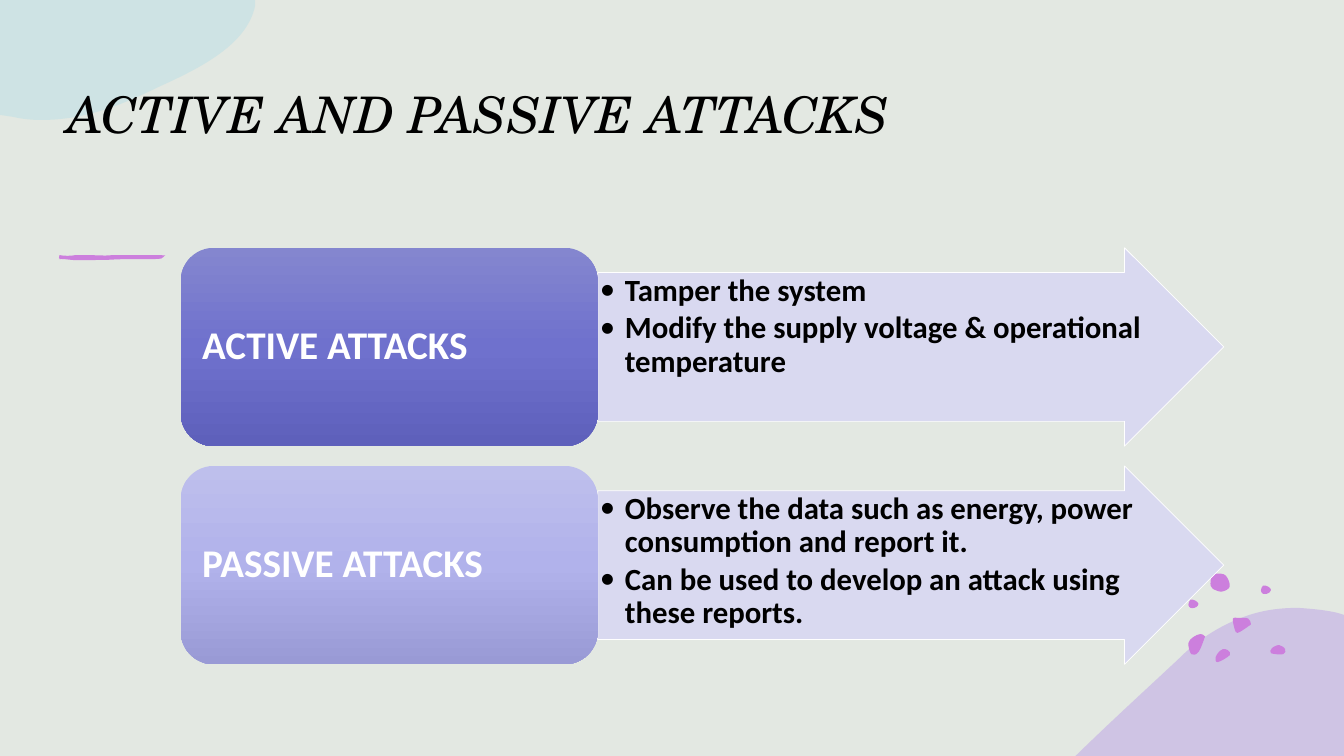
from lxml.etree import SubElement as Sub
from pptx import Presentation
from pptx.dml.color import RGBColor as RGB
from pptx.enum.shapes import MSO_SHAPE as Shape
from pptx.enum.text import MSO_ANCHOR as Anchor, PP_ALIGN as Align
from pptx.oxml.ns import qn
from pptx.util import Pt

TITLE = "ACTIVE AND PASSIVE ATTACKS"
ROWS = [
    ("ACTIVE ATTACKS", ("8486CF", "6F71CD", "5E60BB"),
     ["Tamper the system",
      "Modify the supply voltage & operational temperature"]),
    ("PASSIVE ATTACKS", ("BEBFEC", "B1B2EB", "999AD5"),
     ["Observe the data such as energy, power consumption and report it.",
      "Can be used to develop an attack using these reports."]),
]
HUES = {"back": "E3E8E2", "lilac": "BDA1E6", "teal": "BADFE6", "pink": "CC7FDD",
        "arrow": "D8D8F2", "white": "FFFFFF", "black": "000000"}

# Outlines: a start point, then lines (x, y) and curves (two handles, end).
LILAC = [(927.4, 434.2), (936.7, 434.9, 946.1, 435.6, 955.4, 437.8),
         (960, 439.2), (960, 540), (768.2, 540), (769, 539.3),
         (793.4, 515.5, 818.6, 492.5, 841.7, 470.9),
         (857.5, 455, 874.1, 445.7, 890.6, 439.9),
         (902.9, 435.6, 915.1, 434.2, 927.4, 434.2)]
TEAL = [(0, 0), (182.2, 0), (182.2, 4.3),
        (176.4, 31.7, 144, 48.2, 113.8, 61.9),
        (88.6, 74.2, 61.9, 85.7, 29.5, 85.7),
        (22.3, 85.7, 15.8, 85, 9.4, 83.5), (0, 82.1)]
STROKE = [(61.9, 185.8), (77, 185.6), (84.7, 185.2), (112.7, 185),
          (117.4, 185, 115.9, 182.9, 118, 182.4), (113, 182.2), (80, 182.2),
          (76.3, 182.9, 67.7, 182.2, 63.4, 182.2), (54, 182.2),
          (50.4, 182.9, 46.1, 182.9, 42.5, 182.2),
          (41.8, 182.9, 41.8, 185.8, 43.9, 185),
          (46.8, 185, 51.1, 185.8, 54, 185.8)]
SPECKS = [(42, 185), (43.2, 185), (117.6, 182.2)]

# Knots on the rims of the scattered dots.
PEBBLE = [(900.7, 421.9), (902.2, 418.3), (905.8, 419), (907.9, 421.2),
          (906.5, 423.4), (905, 424.1), (902.2, 424.1)]
DOTS = [
    [(873.4, 463.7), (877, 464.4), (878.4, 468), (869.8, 473),
     (868.3, 469.4), (871.2, 465.1)],
    [(857.5, 452.9), (860.4, 454.3), (860.4, 455.8), (856.1, 465.8),
     (851, 467.3), (848.9, 459.4), (852.5, 455)],
    [(913.7, 460.8), (918, 463.7), (916.6, 467.3), (907.9, 466.6), (908.6, 463)],
    [(864.7, 418.3), (865.4, 411.8), (869, 409.7), (875.5, 411.1),
     (878.4, 419), (872.6, 422.6), (866.2, 420.5)],
    PEBBLE,
    [(x - 51.8, y + 10.1) for x, y in PEBBLE],
    [(884.2, 441.4), (891.5, 441.8), (893.5, 445.7), (892.1, 447.1),
     (885.6, 451.4), (882.7, 451.4), (880.6, 443.5), (881.3, 441.4)],
]

LEFT, TOP, HIGH, PITCH = 129.1, 177, 141.7, 155.8
BOX_W, ARROW_W = 297.9, 447.1

deck = Presentation()
deck.slide_width, deck.slide_height = Pt(960), Pt(540)
slide = deck.slides.add_slide(deck.slide_layouts[6])
shapes = slide.shapes


def paint(shape, hue, alpha=100):
    shape.shadow.inherit = False
    shape.fill.solid()
    shape.fill.fore_color.rgb = RGB.from_string(HUES[hue])
    shape.line.fill.background()
    if alpha < 100:
        color = shape._element.spPr.find(qn("a:solidFill"))[0]
        Sub(color, qn("a:alpha"), val=str(alpha * 1000))


def blend(shape, stops):
    """Fill the shape from top to bottom through evenly spaced colours."""
    shape.shadow.inherit = False
    shape.line.fill.background()
    shape.fill.gradient()
    shape.fill.gradient_angle = 270
    gs_list = shape._element.spPr.find(qn("a:gradFill")).find(qn("a:gsLst"))
    for old in list(gs_list):
        gs_list.remove(old)
    for i, hue in enumerate(stops):
        pos = 100000 * i // (len(stops) - 1)
        stop = Sub(gs_list, qn("a:gs"), pos=str(pos))
        Sub(stop, qn("a:srgbClr"), val=hue)


def bend(knots):
    """Turn a ring of knots into a smooth closed outline."""
    n = len(knots)
    parts = [knots[0]]
    for i in range(n):
        (ax, ay), (bx, by), (cx, cy), (dx, dy) = (
            knots[(i + k) % n] for k in (-1, 0, 1, 2))
        parts.append((bx + (cx - ax) / 6, by + (cy - ay) / 6,
                      cx - (dx - bx) / 6, cy - (dy - by) / 6, cx, cy))
    return parts


def trace(parts, hue, alpha=100):
    """Draw an outline: lay lines through all points, then merge the curves."""
    points = [part[k:k + 2] for part in parts for k in range(0, len(part), 2)]
    grid = [(round(x * 100), round(y * 100)) for x, y in points]
    pen = shapes.build_freeform(*grid[0], scale=Pt(1) / 100)
    pen.add_line_segments(grid[1:], close=True)
    shape = pen.convert_to_shape()
    lines = iter(list(shape._element.iter(qn("a:lnTo"))))
    for part in parts[1:]:
        first = next(lines)
        if len(part) == 6:
            first.tag = qn("a:cubicBezTo")
            for _ in range(2):
                line = next(lines)
                first.append(line[0])
                line.getparent().remove(line)
    paint(shape, hue, alpha)


def write(shape, lines, size, hue, font, pads, anchor, bullet=False):
    frame = shape.text_frame
    frame.word_wrap = True
    frame.vertical_anchor = anchor
    (frame.margin_left, frame.margin_top,
     frame.margin_right, frame.margin_bottom) = map(Pt, pads)
    frame.text = "\n".join(lines)
    for para in frame.paragraphs:
        para.alignment = Align.LEFT
        if bullet:
            props = para._p.get_or_add_pPr()
            props.set("marL", str(Pt(18)))
            props.set("indent", str(-Pt(18)))
            Sub(props, qn("a:buFont"), typeface=font)
            Sub(props, qn("a:buChar"), char="•")
        for run in para.runs:
            run.font.size, run.font.name = Pt(size), font
            run.font.color.rgb = RGB.from_string(HUES[hue])
    return frame.paragraphs


def add_row(top, name, stops, notes):
    arrow = shapes.add_shape(Shape.RIGHT_ARROW, Pt(LEFT + BOX_W), Pt(top),
                             Pt(ARROW_W), Pt(HIGH))
    arrow.adjustments[0], arrow.adjustments[1] = 0.75, 0.5
    paint(arrow, "arrow", 90)
    arrow.line.color.rgb = RGB.from_string(HUES["white"])
    arrow.line.width = Pt(0.5)
    paras = write(arrow, notes, 22, "black", "Calibri", (1.4, 1.4, 1.4, 1.4),
                  Anchor.TOP, bullet=True)
    box = shapes.add_shape(Shape.ROUNDED_RECTANGLE, Pt(LEFT), Pt(top),
                           Pt(BOX_W), Pt(HIGH))
    blend(box, stops)
    heads = write(box, [name], 28, "white", "Calibri", (8.4, 4.2, 8.4, 4.2),
                  Anchor.MIDDLE)
    for para in paras + heads:
        para.line_spacing = 0.9
        para.runs[0].font.bold = True
    for para in paras:
        para.space_after = Pt(3.3)


slide.background.fill.solid()
slide.background.fill.fore_color.rgb = RGB.from_string(HUES["back"])
trace(LILAC, "lilac", 50)
for dot in DOTS:
    trace(bend(dot), "pink")
trace(TEAL, "teal", 50)
for x, y in SPECKS:
    trace([(x, y), (x + 0.4, y), (x + 0.2, y + 0.2)], "pink")
trace(STROKE, "pink")

title = shapes.add_textbox(Pt(41.3), Pt(38.9), Pt(793.4), Pt(67))
head = write(title, [TITLE], 36, "black", "TeX Gyre Schola",
             (7.2, 3.6, 7.2, 3.6), Anchor.BOTTOM)
head[0].runs[0].font.italic = True

for i, row in enumerate(ROWS):
    add_row(TOP + i * PITCH, *row)

deck.save("out.pptx")
